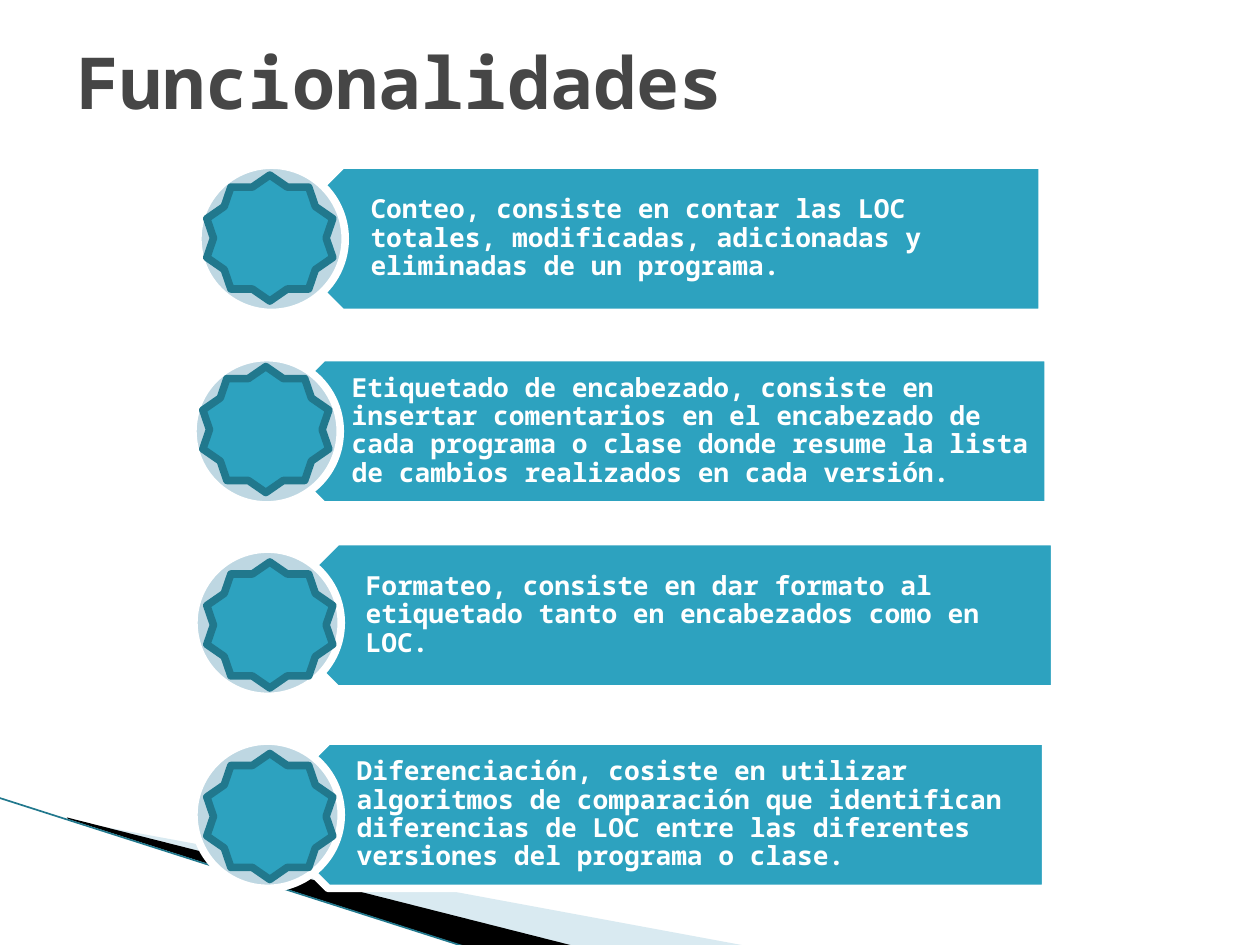
from lxml import etree
from pptx import Presentation
from pptx.dml.color import RGBColor
from pptx.enum import shapes as kinds, text as modes
from pptx.oxml import ns
from pptx.util import Cm, Pt

FONT = "Noto Sans Mono"
TEAL, DARK, PALE, WHITE = "2DA2BF", "21788D", "BED7E2", "FFFFFF"
SIDE = 2.97
STAR = 2.54
EDGE = 4.33

# plate left, top, width; circle left, top; star left, top; wording
ROWS = [
    ((5.41, 3.33, 15.6), (3.99, 3.33), (4.17, 3.53),
     "Conteo, consiste en contar las LOC totales, modificadas, "
     "adicionadas y eliminadas de un programa. "),
    ((5.03, 7.21, 16.1), (3.89, 7.21), (4.09, 7.39),
     "Etiquetado de encabezado, consiste en insertar comentarios en el "
     "encabezado de cada programa o clase donde resume la lista de "
     "cambios realizados en cada versión."),
    ((5.31, 10.92, 15.95), (3.91, 11.07), (4.17, 11.33),
     "Formateo, consiste en dar formato al etiquetado tanto en "
     "encabezados como en LOC."),
    ((5.13, 14.94, 15.95), (3.91, 14.94), (4.17, 15.19),
     "Diferenciación, cosiste en utilizar algoritmos de comparación que "
     "identifican diferencias de LOC entre las diferentes versiones del "
     "programa o clase."),
]


def paint(fmt, color):
    """Give a fill a solid colour."""
    fmt.solid()
    fmt.fore_color.rgb = RGBColor.from_string(color)


def add_shape(slide, kind, box, fill, edge):
    """Add a filled preset shape with a thick outline."""
    shape = slide.shapes.add_shape(kind, *map(Cm, box))
    shape.shadow.inherit = False
    paint(shape.fill, fill)
    paint(shape.line.fill, edge)
    shape.line.width = Pt(EDGE)
    return shape


def add_text(slide, box, words, size, color, pads, gap=1.0):
    """Add a bold text box, centred in height."""
    frame = slide.shapes.add_textbox(*map(Cm, box)).text_frame
    frame.word_wrap = True
    frame.vertical_anchor = modes.MSO_ANCHOR.MIDDLE
    frame.margin_left, frame.margin_top = Cm(pads[0]), Cm(pads[1])
    frame.margin_right, frame.margin_bottom = Cm(pads[2]), Cm(pads[1])
    par = frame.paragraphs[0]
    par.line_spacing = gap
    run = par.add_run()
    run.text = words
    run.font.name = FONT
    run.font.size = Pt(size)
    run.font.bold = True
    run.font.color.rgb = RGBColor.from_string(color)


def add_wedge(slide, points, color, alpha=None):
    """Add a closed outline without a border, see-through if asked."""
    first, *rest = [(Cm(x), Cm(y)) for x, y in points]
    pen = slide.shapes.build_freeform(*first)
    pen.add_line_segments(rest, close=True)
    shape = pen.convert_to_shape()
    shape.shadow.inherit = False
    paint(shape.fill, color)
    shape.line.fill.background()
    if alpha:
        tone = shape.element.spPr.find(".//" + ns.qn("a:srgbClr"))
        etree.SubElement(tone, ns.qn("a:alpha"), val=str(alpha * 1000))


def add_line(slide, start, end, color, width):
    """Add a straight line without a shadow."""
    line = slide.shapes.add_connector(
        kinds.MSO_CONNECTOR.STRAIGHT, *map(Cm, start + end))
    paint(line.line.fill, color)
    line.line.width = Pt(width)
    etree.SubElement(line.element.spPr, ns.qn("a:effectLst"))


def add_row(slide, plate, disc, words):
    """Add one arrow plate with its wording and disc."""
    left, top, width = plate
    shape = add_shape(slide, kinds.MSO_SHAPE.PENTAGON,
                      (left, top, width, SIDE), TEAL, WHITE)
    shape.rotation = 180
    inset = 0.74
    add_text(slide, (left + inset, top, width - inset, SIDE), words,
             15, WHITE, (1.32, 0.15, 0.3), 0.9)
    add_shape(slide, kinds.MSO_SHAPE.OVAL, disc + (SIDE, SIDE), PALE, WHITE)


def main():
    """Build the slide and save it."""
    deck = Presentation()
    deck.slide_width, deck.slide_height = Cm(25.4), Cm(19.05)
    slide = deck.slides.add_slide(deck.slide_layouts[6])
    add_wedge(slide, [(1.4, 16.54), (15.11, 19.08), (11.58, 19.08),
                      (1.4, 16.51)], "A0CBDC", 40)
    add_wedge(slide, [(1.35, 16.48), (11.61, 19.08), (9.45, 19.1),
                      (1.37, 16.51)], "000000")
    add_line(slide, (-0.03, 16.08), (9.42, 19.1), DARK, 0.95)
    add_text(slide, (1.3, 0.53, 22.86, 2.21), "Funcionalidades",
             41, "464646", (0.25, 0.13, 0.25))
    for plate, disc, _, words in ROWS:
        add_row(slide, plate, disc, words)
    for _, _, star, _ in ROWS:
        add_shape(slide, kinds.MSO_SHAPE.STAR_10_POINT,
                  star + (STAR, STAR), TEAL, DARK)
    deck.save("out.pptx")


main()
